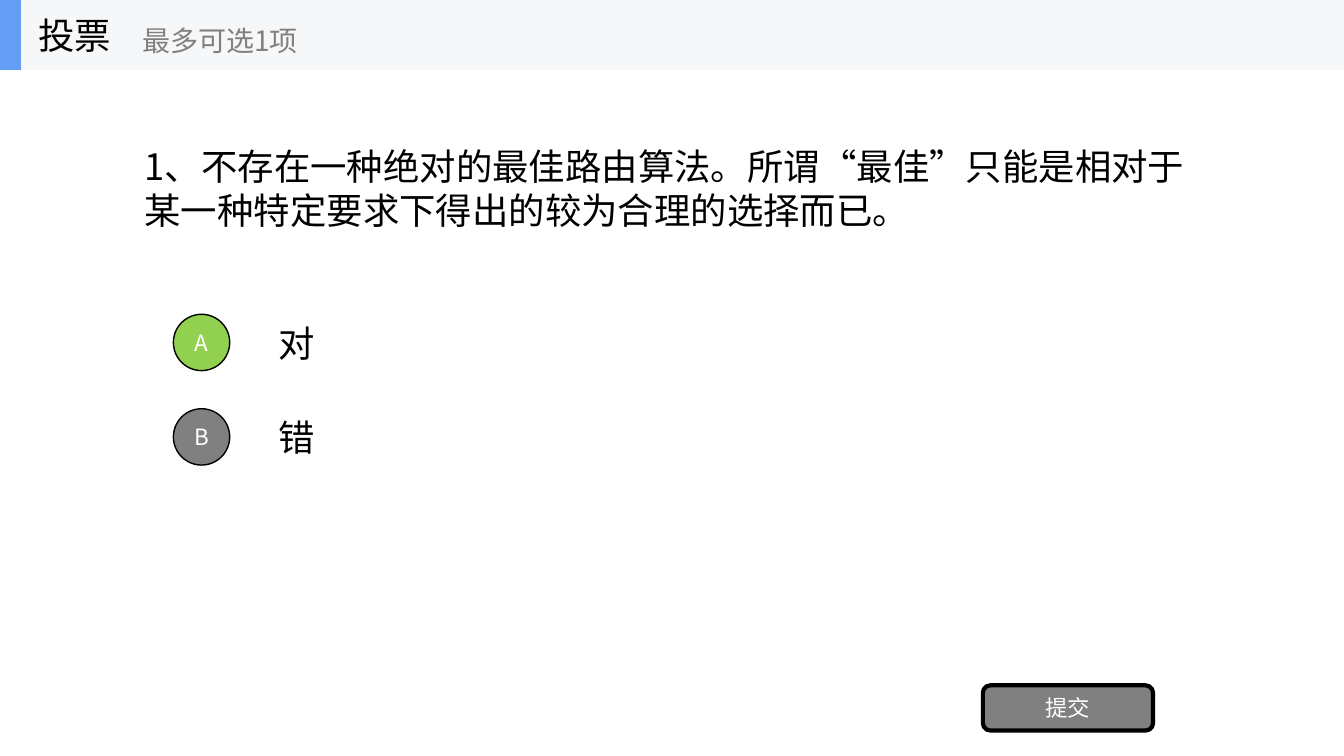
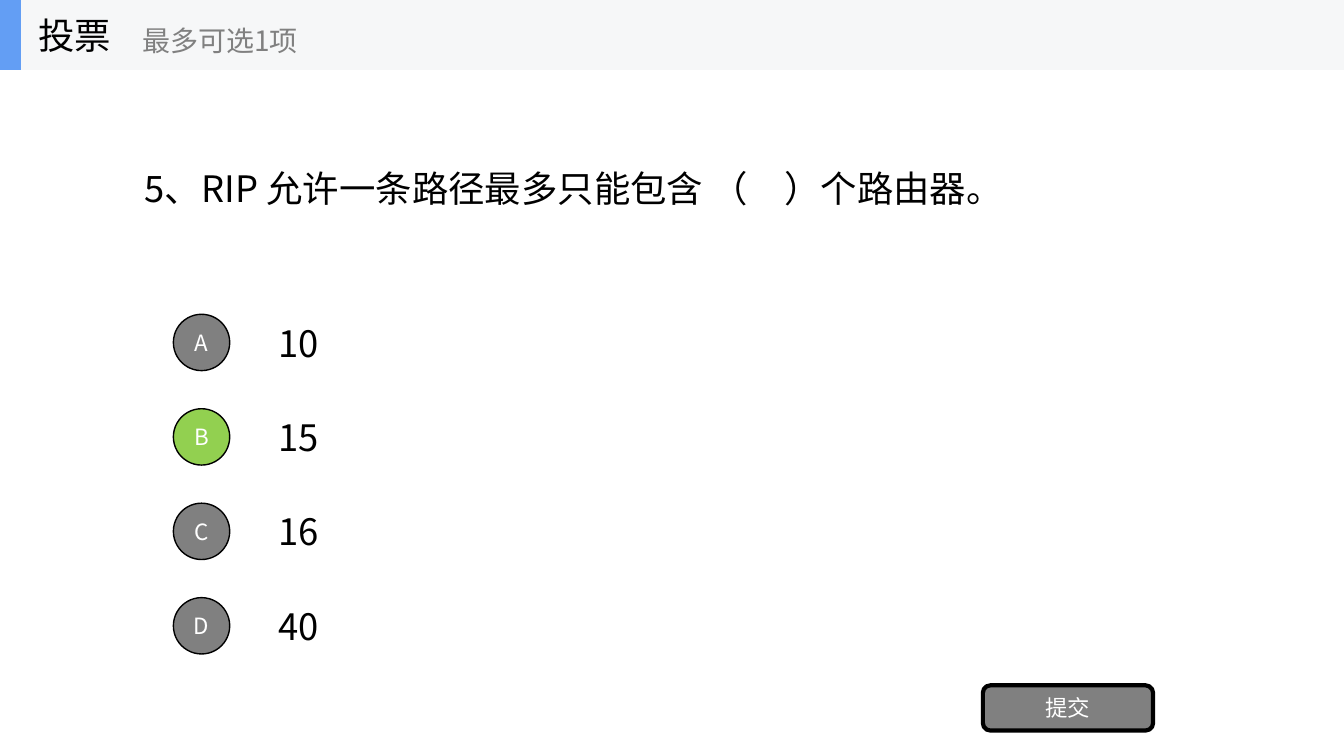
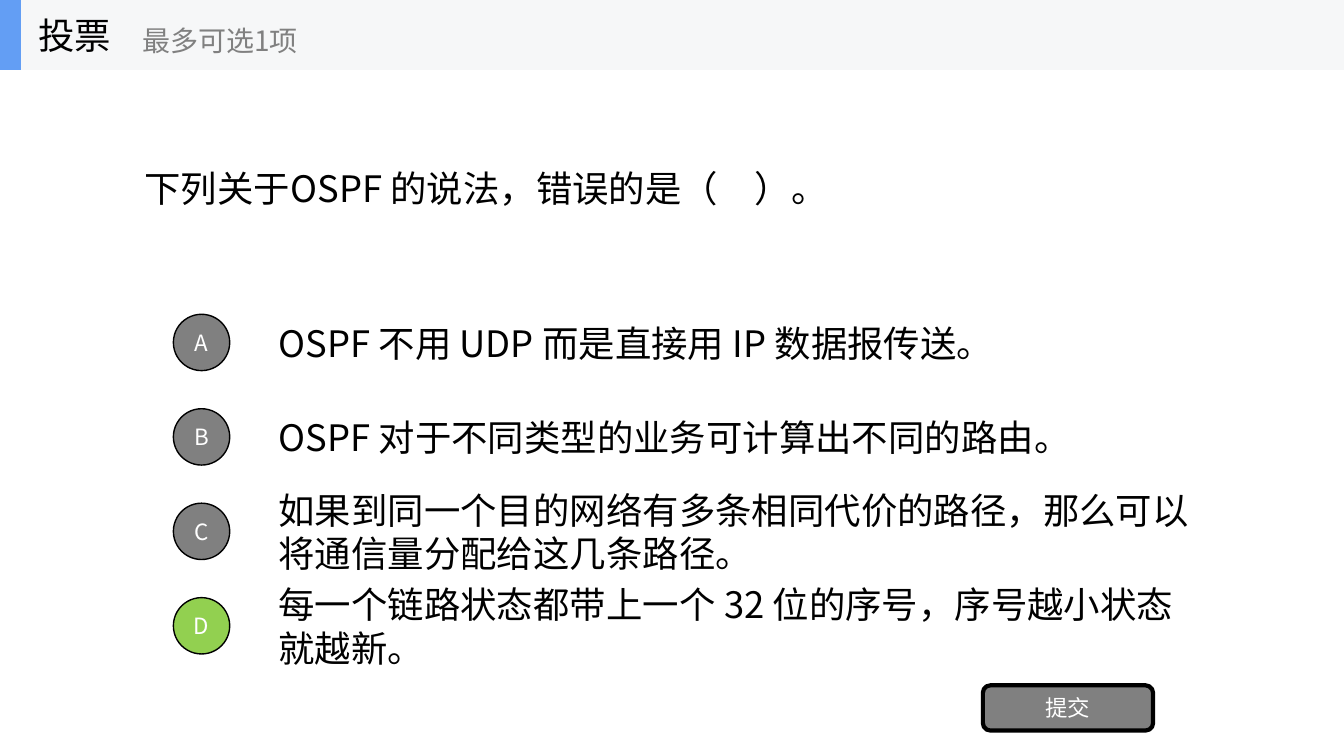
from lxml import etree
from pptx import Presentation
from pptx.dml.color import RGBColor
from pptx.enum.shapes import MSO_SHAPE
from pptx.enum.text import MSO_ANCHOR, MSO_AUTO_SIZE, PP_ALIGN
from pptx.oxml.ns import qn
from pptx.util import Cm, Pt

RECT, ROUND, OVAL = MSO_SHAPE.RECTANGLE, MSO_SHAPE.ROUNDED_RECTANGLE, MSO_SHAPE.OVAL
LEFT, CENTER = PP_ALIGN.LEFT, PP_ALIGN.CENTER
MIDDLE, FIXED = MSO_ANCHOR.MIDDLE, MSO_AUTO_SIZE.NONE

FONT = "Noto Sans CJK SC"
COLORS = {
    "ink": "000000",
    "paper": "FFFFFF",
    "gray": "808080",
    "green": "92D050",
    "blue": "639EF4",
    "band": "F6F7F8",
}
WIDE, HIGH = 33.87, 19.05
BAND = 1.76   # height of the top band
FIRST = 8.63  # centre line of the first option
STEP = 2.38   # distance between options
ROW, DOT = 1.78, 1.42

# Question, options, letter of the right answer
POLLS = [
    ("1、不存在一种绝对的最佳路由算法。所谓“最佳”只能是相对于某一种特定要求下得出的较为合理的选择而已。",
     ["对", "错"], "A"),
    ("5、RIP 允许一条路径最多只能包含 （　）个路由器。",
     ["10", "15", "16", "40"], "B"),
    ("下列关于OSPF 的说法，错误的是（　）。",
     ["OSPF 不用 UDP 而是直接用 IP 数据报传送。",
      "OSPF 对于不同类型的业务可计算出不同的路由。",
      "如果到同一个目的网络有多条相同代价的路径，那么可以将通信量分配给这几条路径。",
      "每一个链路状态都带上一个 32 位的序号，序号越小状态就越新。"], "D"),
]


def tint(name):
    return RGBColor.from_string(COLORS[name])


class Deck:
    def __init__(self):
        self.prs = Presentation()
        self.prs.slide_width, self.prs.slide_height = Cm(WIDE), Cm(HIGH)
        self.slide = None

    def page(self):
        self.slide = self.prs.slides.add_slide(self.prs.slide_layouts[5])

    def fill_text(self, shape, text, size=26, color="ink", align=LEFT, **extra):
        """Put one formatted paragraph into a shape."""
        frame = shape.text_frame
        look = {"word_wrap": True, "auto_size": FIXED, "vertical_anchor": MIDDLE}
        for key, value in {**look, **extra}.items():
            setattr(frame, key, value)
        para = frame.paragraphs[0]
        para.alignment = align
        run = para.add_run()
        run.text = text
        for key, value in {"name": FONT, "size": Pt(size), "bold": False}.items():
            setattr(run.font, key, value)
        run.font.color.rgb = tint(color)
        # East Asian typeface
        props = run._r.get_or_add_rPr()
        etree.SubElement(props, qn("a:ea"), typeface=FONT)

    def title(self, text, *box):
        shape = self.slide.shapes.title
        for key, value in zip(("left", "top", "width", "height"), box):
            setattr(shape, key, Cm(value))
        self.fill_text(shape, text)

    def label(self, text, *box, home=None, **style):
        shapes = home or self.slide.shapes
        self.fill_text(shapes.add_textbox(*map(Cm, box)), text, **style)

    def block(self, kind, fill, *box, home=None, line=0):
        shapes = home or self.slide.shapes
        shape = shapes.add_shape(kind, *map(Cm, box))
        shape.shadow.inherit = False
        shape.fill.solid()
        shape.fill.fore_color.rgb = tint(fill)
        if line:
            shape.line.color.rgb = tint("ink")
            shape.line.width = Pt(line)
        else:
            shape.line.fill.background()
        return shape

    def badge(self, kind, text, fill, *box, line=1):
        shape = self.block(kind, fill, *box, line=line)
        self.fill_text(shape, text, 16, "paper", CENTER, margin_left=0,
                       margin_right=0, margin_top=0, margin_bottom=0)

    def header(self):
        home = self.slide.shapes.add_group_shape().shapes
        self.block(RECT, "band", 0, 0, WIDE, BAND, home=home)
        self.block(RECT, "blue", 0, 0, 0.53, BAND, home=home)
        self.label("投票", 0.71, 0, 5.28, BAND, home=home)
        self.label("最多可选1项", 3.33, 0.31, 6.35, 1.42, home=home,
                   size=20, color="gray")

    def poll(self, ask, options, right):
        self.page()
        self.title(ask, 3.39, BAND, 27.09, 5.95)
        # Option texts with their letter badges
        for row, (letter, text) in enumerate(zip("ABCD", options)):
            mid = FIRST + row * STEP
            fill = "green" if letter == right else "gray"
            self.label(text, 6.77, mid - ROW / 2, 23.71, ROW)
            self.badge(OVAL, letter, fill, 4.37, mid - DOT / 2, DOT, DOT)
        # Submit button and top band
        self.badge(ROUND, "提交", "gray", 24.77, 17.27, 4.29, 1.14, line=3)
        self.header()


def main():
    deck = Deck()
    for poll in POLLS:
        deck.poll(*poll)
    deck.prs.save("out.pptx")


if __name__ == "__main__":
    main()
